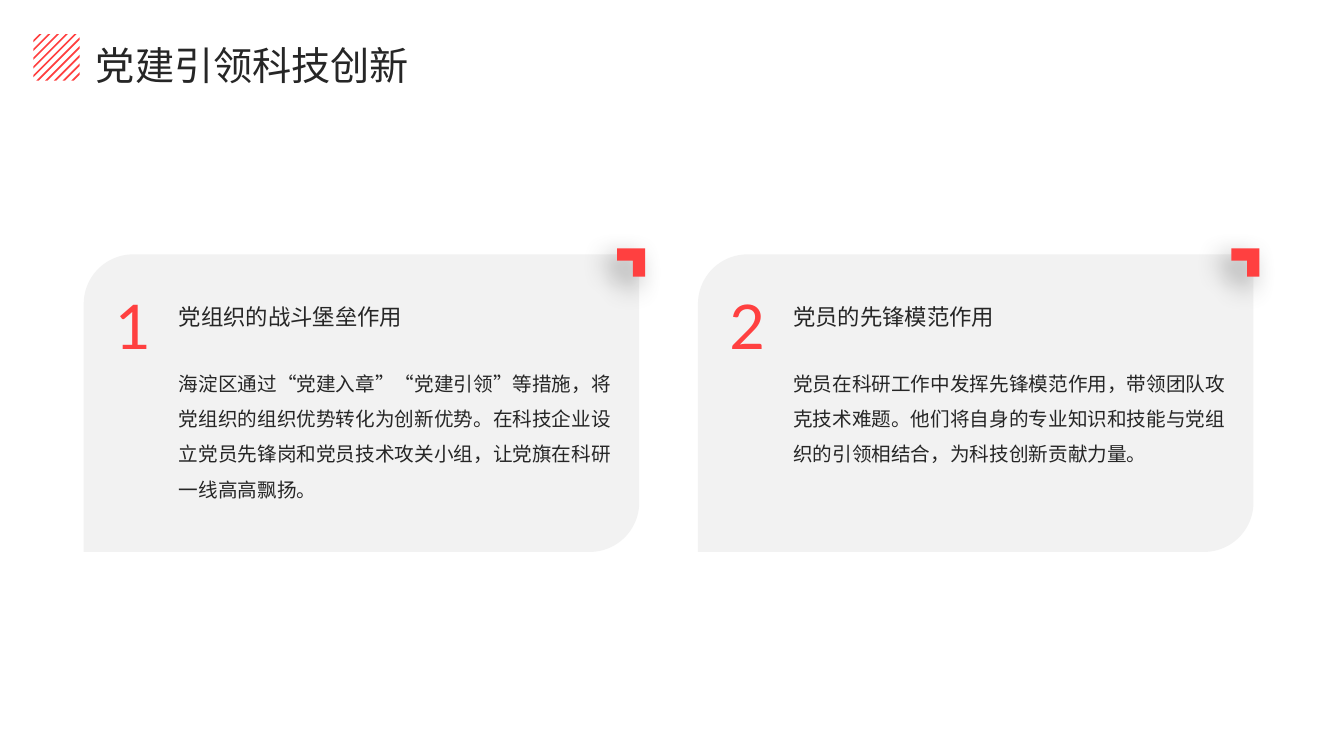
from lxml.etree import SubElement
from pptx import Presentation
from pptx.dml.color import RGBColor
from pptx.enum.shapes import MSO_SHAPE
from pptx.enum.text import MSO_ANCHOR, PP_ALIGN
from pptx.oxml.ns import qn
from pptx.util import Cm, Pt

RED, GREY, DARK = "FF4040", "F2F2F2", "262626"
CHINESE_FONT, NUMBER_FONT = "Noto Sans CJK SC", "Lato"

CARDS = [
    ("1", "党组织的战斗堡垒作用",
     "海淀区通过“党建入章”“党建引领”等措施，将党组织的组织优势转化为创新优势。"
     "在科技企业设立党员先锋岗和党员技术攻关小组，让党旗在科研一线高高飘扬。"),
    ("2", "党员的先锋模范作用",
     "党员在科研工作中发挥先锋模范作用，带领团队攻克技术难题。"
     "他们将自身的专业知识和技能与党组织的引领相结合，为科技创新贡献力量。"),
]


def color(hex_string):
    return RGBColor.from_string(hex_string)


def paint(shape, fill):
    shape.shadow.inherit = False
    shape.fill.solid()
    shape.fill.fore_color.rgb = color(fill)
    shape.line.fill.background()


def add_text(slide, left, top, width, height, text, size, fill=DARK,
             font_name=CHINESE_FONT, spacing=None, anchor=MSO_ANCHOR.TOP,
             align=PP_ALIGN.LEFT, wrap=True):
    box = slide.shapes.add_textbox(Cm(left), Cm(top), Cm(width), Cm(height))
    frame = box.text_frame
    frame.margin_left = frame.margin_right = frame.margin_top = frame.margin_bottom = 0
    frame.word_wrap = wrap
    frame.vertical_anchor = anchor
    paragraph = frame.paragraphs[0]
    paragraph.alignment = align
    paragraph.line_spacing = spacing
    run = paragraph.add_run()
    run.text = text
    run.font.size = Pt(size)
    run.font.color.rgb = color(fill)
    run.font.name = font_name
    SubElement(run.font._element, qn("a:ea"), typeface=font_name)


def add_outline(slide, left, top, contours, fill):
    """Draw closed contours, given in centimetres from left and top."""
    contours = [[(Cm(left + x), Cm(top + y)) for x, y in contour] for contour in contours]
    builder = slide.shapes.build_freeform(*contours[0][0])
    for number, contour in enumerate(contours):
        if number:
            builder.move_to(*contour[0])
        builder.add_line_segments(contour[1:], close=True)
    shape = builder.convert_to_shape()
    paint(shape, fill)
    return shape


def add_drop_shadow(shape):
    effects = shape._element.spPr.find(qn("a:effectLst"))
    shadow = SubElement(effects, qn("a:outerShdw"), blurRad=str(Pt(20)), dist=str(Pt(10)),
                        dir=str(135 * 60000), algn="tr", rotWithShape="0")
    black = SubElement(shadow, qn("a:srgbClr"), val="000000")
    SubElement(black, qn("a:alpha"), val="40000")


def add_striped_square(slide, left, top, side):
    first, pitch, thickness = 0.15, 0.22, 0.06

    def diagonal_ends(distance):
        far = min(distance, side)
        return [(far, distance - far), (distance - far, far)]

    starts = [first + pitch * number for number in range(10)]
    stripes = [diagonal_ends(start) + diagonal_ends(start + thickness)[::-1]
               for start in starts]
    add_outline(slide, left, top, stripes, RED)


def add_header(slide, left, top):
    add_striped_square(slide, left, top, 1.17)
    add_text(slide, left + 1.58, top - 0.17, 28.83, 1.5, "党建引领科技创新", 28, spacing=1.3)


def add_card(slide, left, top, width, height, number, heading, body):
    # Panel
    panel = slide.shapes.add_shape(MSO_SHAPE.ROUND_2_DIAG_RECTANGLE,
                                   Cm(left), Cm(top), Cm(width), Cm(height))
    paint(panel, GREY)
    # Number
    add_text(slide, left + 0.39, top + 0.78, 1.7, 2, number, 44, RED, NUMBER_FONT,
             anchor=MSO_ANCHOR.MIDDLE, align=PP_ALIGN.CENTER, wrap=False)
    # Corner mark, sticking out past the panel
    size, arm, overhang = 0.71, 0.31, 0.15
    corner = [(0, 0), (size, 0), (size, size), (size - arm, size),
              (size - arm, arm), (0, arm)]
    mark = add_outline(slide, left + width + overhang - size, top - overhang, [corner], RED)
    add_drop_shadow(mark)
    # Body and heading
    text_left, text_width = left + 2.4, 11
    add_text(slide, text_left, top + 2.66, text_width, 4, body, 14, spacing=1.5)
    add_text(slide, text_left, top + 0.47, text_width, 2, heading, 16, spacing=1.3,
             anchor=MSO_ANCHOR.MIDDLE)


def main():
    presentation = Presentation()
    presentation.slide_width, presentation.slide_height = Cm(33.87), Cm(19.05)
    slide = presentation.slides.add_slide(presentation.slide_layouts[6])
    width, gap = 14, 1.48
    for index, card in enumerate(CARDS):
        add_card(slide, 2.11 + index * (width + gap), 6.41, width, 7.5, *card)
    add_header(slide, 0.84, 0.86)
    presentation.save("out.pptx")


if __name__ == "__main__":
    main()
